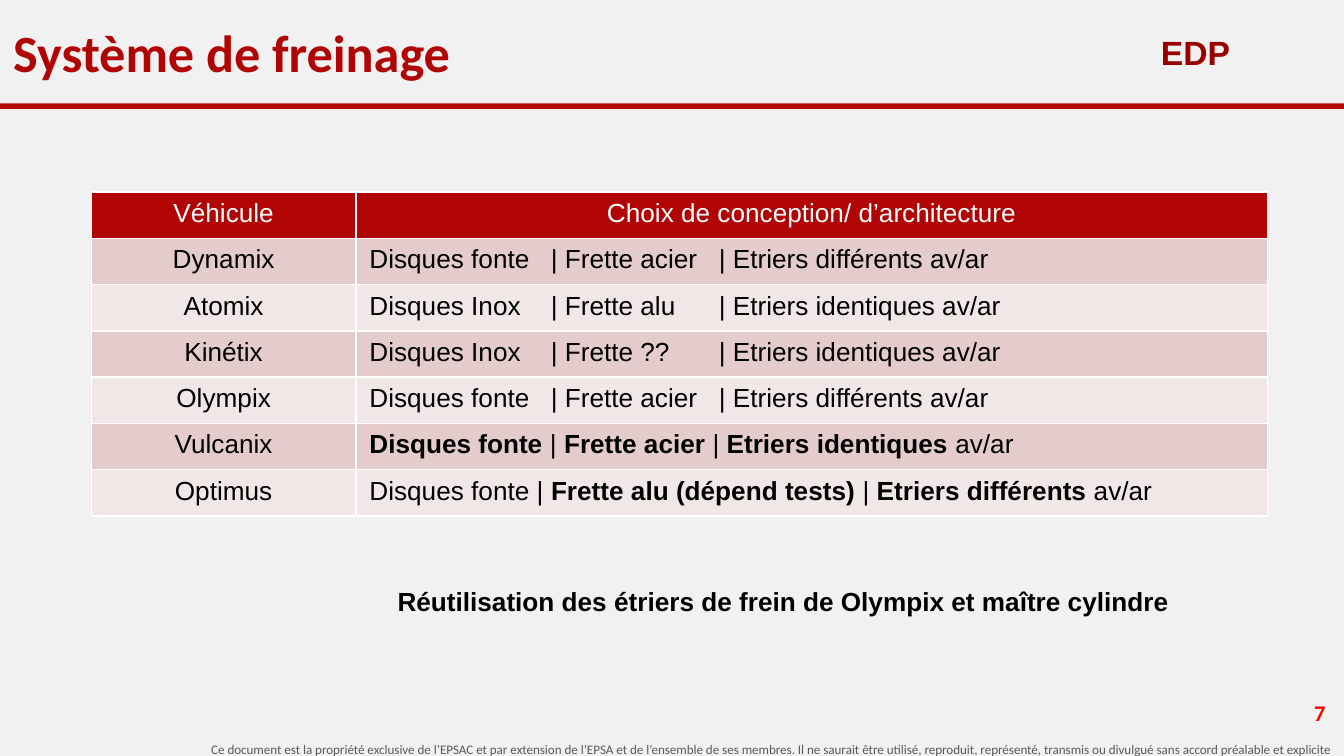
from lxml import etree
from pptx import Presentation, util as u
from pptx.dml.color import RGBColor
from pptx.enum import shapes, text
from pptx.oxml import ns

RED = RGBColor(0xB1, 0x04, 0x04)
DARK = RGBColor(0x98, 0, 0)
BRIGHT = RGBColor(0xFF, 0, 0)
GREY = RGBColor(0x59, 0x59, 0x59)
PALE = RGBColor(0xF2, 0xF2, 0xF2)
BACK = RGBColor(0xF1, 0xF1, 0xF1)
WHITE = RGBColor(0xFF, 0xFF, 0xFF)
BLACK = RGBColor(0, 0, 0)
BANDS = RGBColor(0xE4, 0xCC, 0xCC), RGBColor(0xF2, 0xE7, 0xE7)
LEFT, MID, RIGHT = text.PP_ALIGN.LEFT, text.PP_ALIGN.CENTER, text.PP_ALIGN.RIGHT
WIDE = u.Inches(10)
HIGH = WIDE * 9 // 16
STOPS = 1.35, 2.6

LEGAL = (
    "Ce document est la propriété exclusive de l’EPSAC et par extension de l’EPSA "
    "et de l’ensemble de ses membres. Il ne saurait être utilisé, reproduit, "
    "représenté, transmis ou divulgué sans accord préalable et explicite"
)
HEAD = "Véhicule", "Choix de conception/ d’architecture"
ROWS = [
    ("Dynamix", "Disques fonte\t| Frette acier\t| Etriers différents av/ar"),
    ("Atomix", "Disques Inox\t| Frette alu\t| Etriers identiques av/ar"),
    ("Kinétix", "Disques Inox\t| Frette ??\t| Etriers identiques av/ar"),
    ("Olympix", "Disques fonte\t| Frette acier\t| Etriers différents av/ar"),
    ("Vulcanix", "*Disques fonte* | *Frette acier* |* Etriers identiques *av/ar"),
    ("Optimus", "Disques fonte | *Frette alu (dépend tests)* |* Etriers différents* av/ar"),
]


def share(box, x, y, w, h):
    left, top, width, height = box
    return (
        int(left + width * x / 100),
        int(top + height * y / 100),
        int(width * w / 100),
        int(height * h / 100),
    )


def style(font, size, color, name="Arial", bold=False):
    font.size, font.name, font.bold = u.Pt(size), name, bold
    font.color.rgb = color


def label(slide, box, words, size, color, name="Arial", bold=True,
          align=LEFT, anchor=text.MSO_ANCHOR.TOP, pad=0.05, wrap=True):
    frame = slide.shapes.add_textbox(*box).text_frame
    frame.word_wrap, frame.vertical_anchor = wrap, anchor
    frame.margin_top = frame.margin_bottom = u.Inches(pad)
    frame.text = words
    line = frame.paragraphs[0]
    line.alignment = align
    style(line.runs[0].font, size, color, name, bold)


def block(slide, box, fill):
    shape = slide.shapes.add_shape(shapes.MSO_SHAPE.RECTANGLE, *box)
    shape.shadow.inherit = False
    shape.fill.solid()
    shape.fill.fore_color.rgb = fill
    shape.line.fill.background()
    return shape


def header(slide, box):
    block(slide, share(box, 0, 95, 100, 5), RED)
    badge = block(slide, share(box, 81, 3.7, 18.5, 37), PALE)
    badge.line.color.rgb, badge.line.width = PALE, u.Pt(2)
    label(slide, share(box, 0, 2.5, 100, 89), "Système de freinage", 28, RED,
          "Calibri", anchor=text.MSO_ANCHOR.MIDDLE, pad=0.1)
    label(slide, share(box, 85.4, 17.3, 7.7, 60.5), "EDP", 18, DARK, pad=0.1)


def edge(cell):
    props = cell._tc.get_or_add_tcPr()
    for spot, side in enumerate(("lnL", "lnR", "lnT", "lnB")):
        line = etree.Element(ns.qn("a:" + side), w=str(u.Pt(1)))
        fill = etree.SubElement(line, ns.qn("a:solidFill"))
        etree.SubElement(fill, ns.qn("a:srgbClr"), val=str(WHITE))
        props.insert(spot, line)


def tabs(line):
    stops = etree.SubElement(line._p.get_or_add_pPr(), ns.qn("a:tabLst"))
    for stop in STOPS:
        etree.SubElement(stops, ns.qn("a:tab"), pos=str(u.Inches(stop)), algn="l")


def write(cell, words, fill, color, align):
    cell.fill.solid()
    cell.fill.fore_color.rgb = fill
    edge(cell)
    line = cell.text_frame.paragraphs[0]
    line.alignment = align
    if "\t" in words:
        tabs(line)
    for spot, part in enumerate(words.split("*")):
        if part:
            run = line.add_run()
            run.text = part
            style(run.font, 14, color, bold=spot % 2 == 1)


def grid(slide, box):
    count = len(ROWS) + 1
    table = slide.shapes.add_table(count, 2, *box).table
    for col, part in zip(table.columns, (22.5, 77.5)):
        col.width = int(box[2] * part / 100)
    for row in table.rows:
        row.height = box[3] // count
    for col, words in enumerate(HEAD):
        write(table.cell(0, col), words, RED, WHITE, MID)
    for row, pair in enumerate(ROWS):
        for col, words in enumerate(pair):
            write(table.cell(row + 1, col), words, BANDS[row % 2], BLACK,
                  (MID, LEFT)[col])


def note(slide, box):
    label(slide, box, "Réutilisation des étriers de frein de Olympix et maître cylindre",
          14, BLACK, wrap=False)


def footer(slide, box):
    label(slide, share(box, 0, 60.7, 100, 39.3), LEGAL, 7, GREY, "Calibri",
          bold=False, align=RIGHT)
    label(slide, share(box, 89.4, 0, 10.2, 64.3), "7", 12, BRIGHT, "Calibri",
          align=RIGHT, anchor=text.MSO_ANCHOR.MIDDLE)


def main():
    deck = Presentation()
    deck.slide_width, deck.slide_height = WIDE, HIGH
    slide = deck.slides.add_slide(deck.slide_layouts[6])
    slide.background.fill.solid()
    slide.background.fill.fore_color.rgb = BACK
    page = 0, 0, WIDE, HIGH
    header(slide, share(page, 0, 0, 100, 14.4))
    grid(slide, share(page, 6.8, 25.42, 87.5, 42.84))
    note(slide, share(page, 28.6, 76.62, 59.7, 6))
    footer(slide, share(page, 0, 91.1, 100, 10))
    deck.save("out.pptx")


if __name__ == "__main__":
    main()
